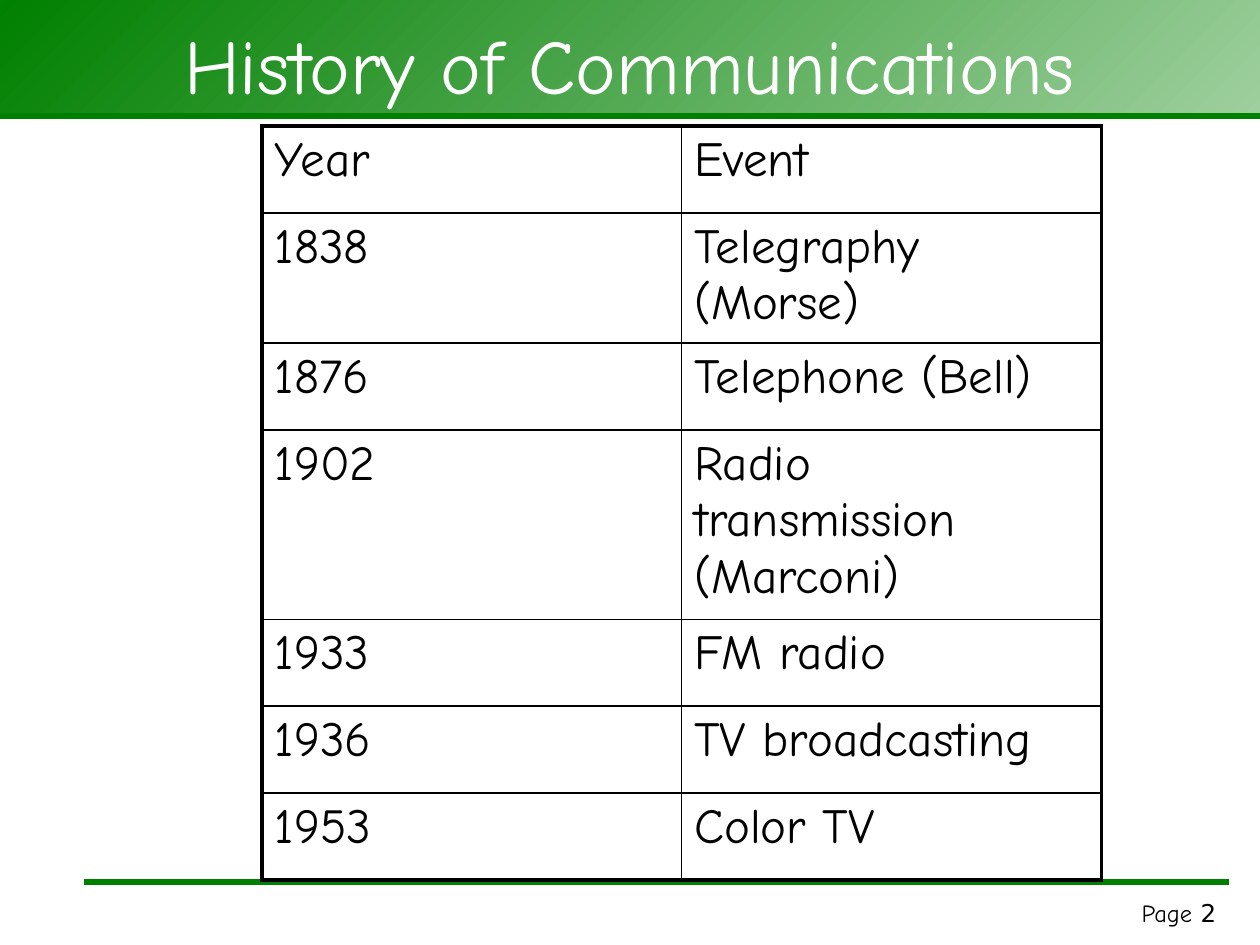
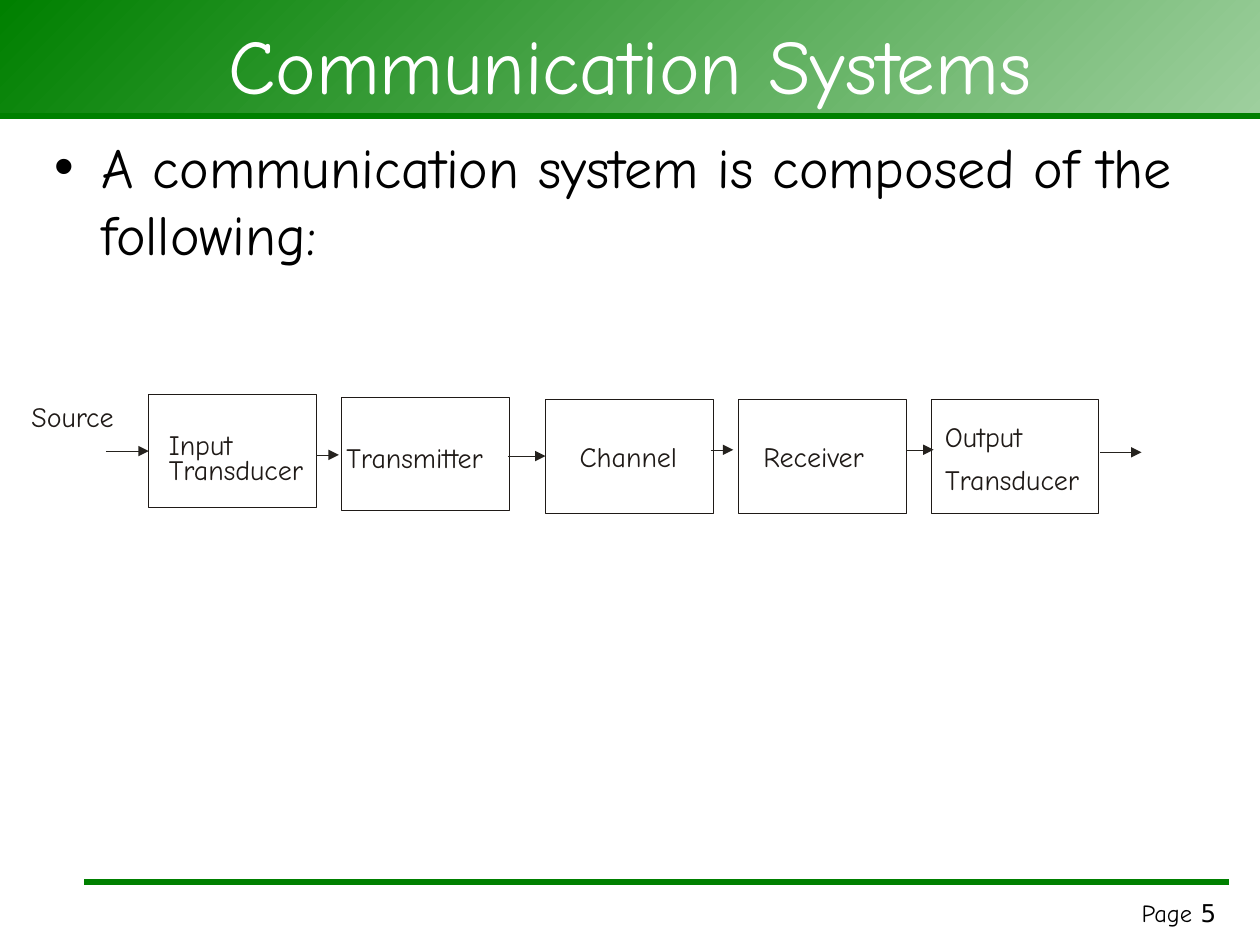
"""Build two lecture slides on communication history and systems."""
from lxml import etree
from pptx import Presentation
from pptx import util as u
from pptx.dml.color import RGBColor
from pptx.enum import shapes, text
from pptx.oxml import ns

COLOURS = {"green": "008000", "pale": "9ECF9E", "white": "FFFFFF",
           "black": "000000", "ink": "1F1A17", "arrow": "25221E"}
FONT = "Comic Neue"
NUMBER_FONT = "DejaVu Sans"
TITLE_ONLY, TITLE_AND_BODY = 5, 1

TITLE_FORMAT = {"size": u.Pt(44), "name": FONT, "bold": False}
BODY_FORMAT = {"size": u.Pt(32), "name": FONT}
CELL_FORMAT = {"size": u.Pt(28), "name": FONT, "bold": False}
PAGE_FORMAT = {"size": u.Pt(14), "name": FONT}
NUMBER_FORMAT = {"size": u.Pt(14), "name": NUMBER_FONT}
LABEL_FORMAT = {"size": u.Pt(16), "name": FONT}
NO_INSETS = {"margin_left": 0, "margin_top": 0, "margin_right": 0,
             "margin_bottom": 0, "word_wrap": False}

EVENTS = [("Year", "Event"), ("1838", "Telegraphy (Morse)"),
          ("1876", "Telephone (Bell)"),
          ("1902", "Radio transmission (Marconi)"), ("1933", "FM radio"),
          ("1936", "TV broadcasting"), ("1953", "Color TV")]
ROW_HEIGHTS = [0.69, 1.03, 0.69, 1.5, 0.69, 0.69, 0.69]
COLUMN_WIDTH = 3.33

BLOCK_SIZE = (1.33, 0.9)
BLOCK_CORNERS = [(1.18, 3.13), (2.71, 3.15), (4.33, 3.17), (5.86, 3.17), (7.39, 3.17)]
LABELS = [("Source", 0.25, 3.17, 0.73), ("Input", 1.34, 3.39, 0.58),
          ("Transducer", 1.34, 3.59, 1.19), ("Transmitter", 2.75, 3.5, 1.27),
          ("Channel", 4.6, 3.49, 0.79), ("Receiver", 6.06, 3.49, 0.9),
          ("Output", 7.5, 3.33, 0.74), ("Transducer", 7.5, 3.67, 1.19)]
ARROWS = [(0.84, 1.18, 3.58, 0), (2.51, 2.69, 3.61, None),
          (4.03, 4.33, 3.62, 2), (5.64, 5.82, 3.57, None),
          (7.19, 7.41, 3.57, None), (8.73, 9.06, 3.59, None)]


def rgb(name):
    """Return the named colour."""
    return RGBColor.from_string(COLOURS[name])


def inches(*values):
    """Convert numbers to lengths."""
    return [u.Inches(value) for value in values]


def apply(target, values):
    """Set each attribute named in a dict."""
    for key, value in values.items():
        setattr(target, key, value)


def write(para, words, font_format, colour="black"):
    """Add a formatted run to a paragraph."""
    span = para.add_run()
    span.text = words
    apply(span.font, font_format)
    span.font.color.rgb = rgb(colour)


def add_line(page, start, end, colour, points):
    """Draw a straight connector without a shadow."""
    line = page.shapes.add_connector(shapes.MSO_CONNECTOR.STRAIGHT,
                                     *inches(*start, *end))
    line.line.color.rgb = rgb(colour)
    line.line.width = u.Pt(points)
    etree.SubElement(line.element.spPr, ns.qn("a:effectLst"))
    return line


def add_arrow(page, start, end, target=None):
    """Draw a thin arrow, joined to the left side of a target block."""
    arrow = add_line(page, start, end, "arrow", 0.25)
    outline = arrow.element.spPr.find(ns.qn("a:ln"))
    etree.SubElement(outline, ns.qn("a:tailEnd"), type="triangle")
    if target is not None:
        arrow.end_connect(target, 1)


def add_block(page, corner):
    """Draw an unfilled block of the system diagram."""
    block = page.shapes.add_shape(shapes.MSO_SHAPE.RECTANGLE,
                                  *inches(*corner, *BLOCK_SIZE))
    block.shadow.inherit = False
    block.fill.background()
    block.line.color.rgb = rgb("ink")
    block.line.width = u.Pt(0.25)
    return block


def add_label(page, words, left, top, width):
    """Add a diagram label with no insets."""
    box = page.shapes.add_textbox(*inches(left, top, width, 0.27))
    apply(box.text_frame, NO_INSETS)
    write(box.text_frame.paragraphs[0], words, LABEL_FORMAT, "ink")


def decorate_master(deck, page):
    """Draw the band and rules once and move them to the master."""
    band = page.shapes.add_shape(shapes.MSO_SHAPE.RECTANGLE, *inches(0, 0, 10, 0.92))
    band.shadow.inherit = False
    band.line.fill.background()
    band.fill.gradient()
    band.fill.gradient_angle = 315
    for stop, colour, position in zip(band.fill.gradient_stops, ("green", "pale"), (0, 1)):
        stop.color.rgb = rgb(colour)
        stop.position = position
    rules = [add_line(page, (0.67, 7), (9.75, 7), "green", 3),
             add_line(page, (0, 0.92), (10, 0.92), "green", 3)]
    for shape in [band, *rules]:
        deck.slide_master.shapes.element.append(shape.element)


def fill_placeholder(holder, position, words, font_format, colour, frame_format):
    """Move a placeholder and write its text."""
    apply(holder, dict(zip(("left", "top", "width", "height"), inches(*position))))
    apply(holder.text_frame, {"auto_size": text.MSO_AUTO_SIZE.NONE, **frame_format})
    write(holder.text_frame.paragraphs[0], words, font_format, colour)


def add_page(deck, layout, title, number):
    """Add a slide with its title and page number."""
    page = deck.slides.add_slide(deck.slide_layouts[layout])
    fill_placeholder(page.shapes.title, (0.29, 0.17, 9.42, 0.67), title, TITLE_FORMAT,
                     "white", {"vertical_anchor": text.MSO_ANCHOR.MIDDLE})
    box = page.shapes.add_textbox(*inches(7.67, 7.08, 2.08, 0.25))
    box.text_frame.word_wrap = True
    para = box.text_frame.paragraphs[0]
    para.alignment = text.PP_ALIGN.RIGHT
    write(para, "Page ", PAGE_FORMAT)
    write(para, number, NUMBER_FORMAT)
    return page


def set_borders(cell, widths):
    """Give a cell black borders, keyed by side, in points."""
    properties = cell._tc.get_or_add_tcPr()
    for side, points in widths.items():
        border = etree.SubElement(properties, ns.qn(f"a:ln{side}"), w=str(u.Pt(points)))
        solid = etree.SubElement(border, ns.qn("a:solidFill"))
        etree.SubElement(solid, ns.qn("a:srgbClr"), val=COLOURS["black"])


def add_event_table(page):
    """Add the table of events with a heavy outer frame."""
    columns, last = len(EVENTS[0]), len(EVENTS) - 1
    frame = page.shapes.add_table(len(EVENTS), columns, *inches(
        2.08, 1, COLUMN_WIDTH * columns, sum(ROW_HEIGHTS)))
    table = frame.table
    apply(table, {"first_row": False, "horz_banding": False})
    for column in table.columns:
        column.width = u.Inches(COLUMN_WIDTH)
    for r, (height, event) in enumerate(zip(ROW_HEIGHTS, EVENTS)):
        table.rows[r].height = u.Inches(height)
        for c, words in enumerate(event):
            cell = table.cell(r, c)
            outer = {"L": c == 0, "R": c == columns - 1, "T": r == 0, "B": r == last}
            set_borders(cell, {side: 2.25 if edge else 1 for side, edge in outer.items()})
            cell.fill.background()
            write(cell.text_frame.paragraphs[0], words, CELL_FORMAT)


def add_system_diagram(page):
    """Draw the chain of blocks, arrows and labels."""
    blocks = [add_block(page, corner) for corner in BLOCK_CORNERS]
    for start, end, height, target in ARROWS:
        add_arrow(page, (start, height), (end, height),
                  None if target is None else blocks[target])
    for label in LABELS:
        add_label(page, *label)


def main():
    """Build and save the deck."""
    deck = Presentation()
    deck.slide_width, deck.slide_height = inches(10, 7.5)

    history = add_page(deck, TITLE_ONLY, "History of Communications", "2")
    decorate_master(deck, history)
    add_event_table(history)

    systems = add_page(deck, TITLE_AND_BODY, "Communication Systems", "5")
    fill_placeholder(systems.placeholders[1], (0.33, 1, 9.42, 5.92),
                     "A communication system is composed of the following:",
                     BODY_FORMAT, "black", {"word_wrap": True})
    add_system_diagram(systems)
    deck.save("out.pptx")


if __name__ == "__main__":
    main()
